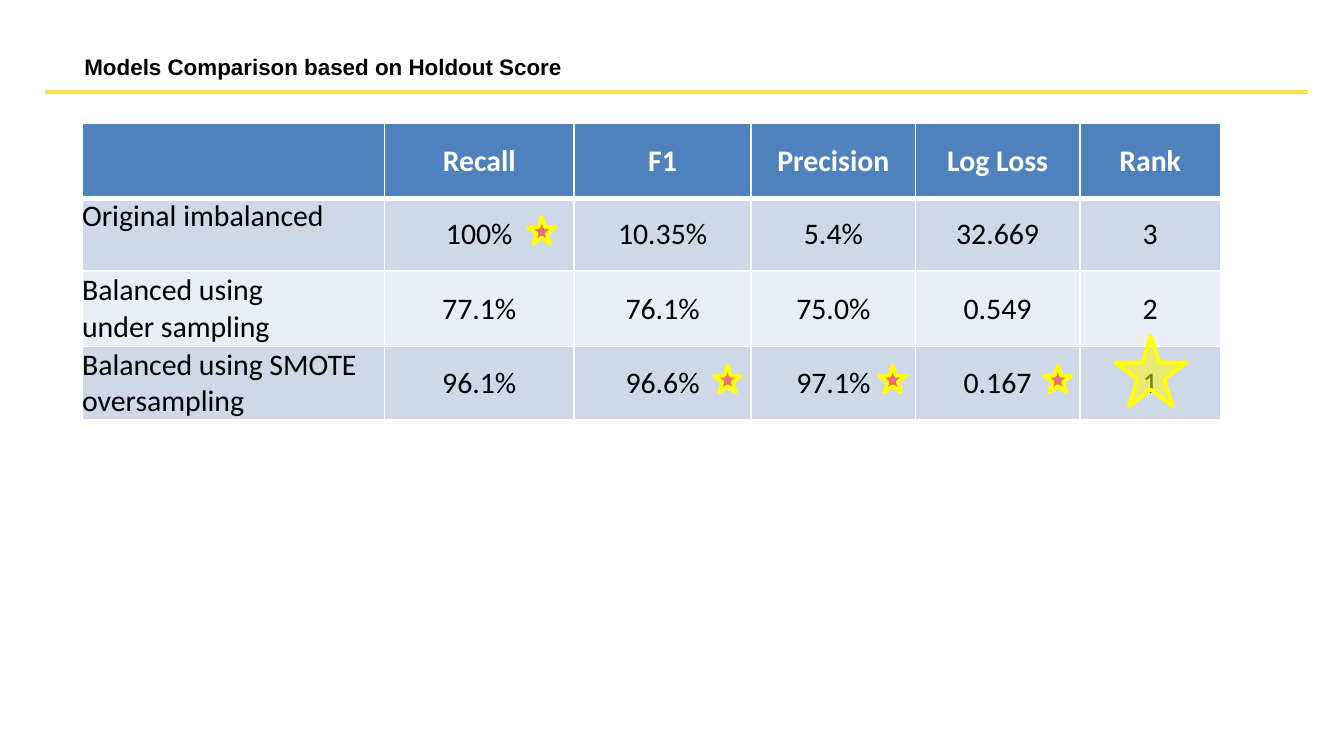
from lxml.etree import SubElement
from pptx import Presentation
from pptx.dml.color import RGBColor
from pptx.enum.shapes import MSO_CONNECTOR as Connector, MSO_SHAPE as Shape
from pptx.enum.text import MSO_ANCHOR as Anchor, MSO_AUTO_SIZE as AutoSize, PP_ALIGN as Align
from pptx.oxml.ns import qn
from pptx.util import Pt

TITLE = "Models Comparison based on Holdout Score"
ROWS = [
    ["", "Recall", "F1", "Precision", "Log Loss", "Rank"],
    ["Original imbalanced", "100%", "10.35%", "5.4%", "32.669", "3"],
    ["Balanced using\nunder sampling", "77.1%", "76.1%", "75.0%", "0.549", "2"],
    ["Balanced using SMOTE oversampling", "96.1%", "96.6%", "97.1%", "0.167", "1"],
]
BEST_SCORES = [(1, 1, 24.5), (3, 2, 20), (3, 3, 19.5), (3, 4, 19)]
WINNER = (3, 5, 56.5)

COLORS = {
    "white": "FFFFFF", "black": "000000", "header": "4F81BD", "dark band": "D0D8E8",
    "light band": "E9EDF4", "rule": "F9DF41", "yellow": "FFFF00", "red": "FF0004",
}
ROW_FILLS = ["header", "dark band", "light band", "dark band"]
LEFT, TOP = 44, 66.25
WIDTHS = [162, 101.5, 95, 88, 88, 75.5]
HEIGHTS = [40, 39, 40.5, 39]


def color(name):
    return RGBColor.from_string(COLORS[name])


def add_run(paragraph, text, font, size, color_name, bold):
    run = paragraph.add_run()
    run.text = text
    run.font.name, run.font.size, run.font.bold = font, Pt(size), bold
    run.font.color.rgb = color(color_name)


def add_borders(cell, row):
    properties = cell._tc.get_or_add_tcPr()
    thick = {0: "lnB", 1: "lnT"}.get(row)
    for side in ("lnL", "lnR", "lnT", "lnB"):
        width = Pt(3 if side == thick else 1)
        line = SubElement(properties, qn(f"a:{side}"), w=str(width))
        fill = SubElement(line, qn("a:solidFill"))
        SubElement(fill, qn("a:srgbClr"), val=COLORS["white"])


def fill_cell(cell, row, column, text):
    add_borders(cell, row)
    cell.fill.solid()
    cell.fill.fore_color.rgb = color(ROW_FILLS[row])
    cell.margin_left = cell.margin_right = cell.margin_top = cell.margin_bottom = 0
    cell.vertical_anchor = Anchor.TOP if (row, column) == (1, 0) else Anchor.MIDDLE
    frame = cell.text_frame
    for index, line in enumerate(text.split("\n") if text else []):
        paragraph = frame.add_paragraph() if index else frame.paragraphs[0]
        paragraph.alignment = Align.CENTER if column else Align.LEFT
        add_run(paragraph, line, "Calibri", 16, "black" if row else "white", row == 0)


def add_table(slide):
    table = slide.shapes.add_table(
        len(ROWS), len(WIDTHS), Pt(LEFT), Pt(TOP), Pt(sum(WIDTHS)), Pt(sum(HEIGHTS))).table
    for column, width in zip(table.columns, WIDTHS):
        column.width = Pt(width)
    for row, height in zip(table.rows, HEIGHTS):
        row.height = Pt(height)
    for row, texts in enumerate(ROWS):
        for column, text in enumerate(texts):
            fill_cell(table.cell(row, column), row, column, text)


def add_star(slide, row, column, inset, drop, size, fill_name):
    left = LEFT + sum(WIDTHS[:column + 1]) - inset
    top = TOP + sum(HEIGHTS[:row]) + drop
    star = slide.shapes.add_shape(Shape.STAR_5_POINT, Pt(left), Pt(top), Pt(size), Pt(size))
    star.shadow.inherit = False
    star.fill.solid()
    star.fill.fore_color.rgb = color(fill_name)
    fill_color = star._element.spPr.find(qn("a:solidFill"))[0]
    SubElement(fill_color, qn("a:alpha"), val="49000")
    star.line.color.rgb = color("yellow")
    star.line.width = Pt(2)


def add_title(slide):
    title = slide.shapes.title
    title.left, title.top, title.width, title.height = Pt(38), Pt(25), Pt(340), Pt(22)
    frame = title.text_frame
    frame.auto_size = AutoSize.NONE
    frame.vertical_anchor = Anchor.TOP
    paragraph = frame.paragraphs[0]
    paragraph.alignment = Align.LEFT
    add_run(paragraph, TITLE, "Arial", 12, "black", True)


def add_rule(slide):
    rule = slide.shapes.add_connector(Connector.STRAIGHT, Pt(24), Pt(49.25), Pt(700.5), Pt(49.25))
    rule.line.color.rgb = color("rule")
    rule.line.width = Pt(2)
    SubElement(rule._element.spPr, qn("a:effectLst"))


def main():
    """Build the slide that compares the models by holdout score."""
    presentation = Presentation()
    presentation.slide_width, presentation.slide_height = Pt(720), Pt(405)
    slide = presentation.slides.add_slide(presentation.slide_layouts[5])
    add_title(slide)
    add_table(slide)
    add_star(slide, *WINNER, -6, 38, "yellow")
    add_rule(slide)
    for score in BEST_SCORES:
        add_star(slide, *score, 10, 14.5, "red")
    presentation.save("out.pptx")


if __name__ == "__main__":
    main()
